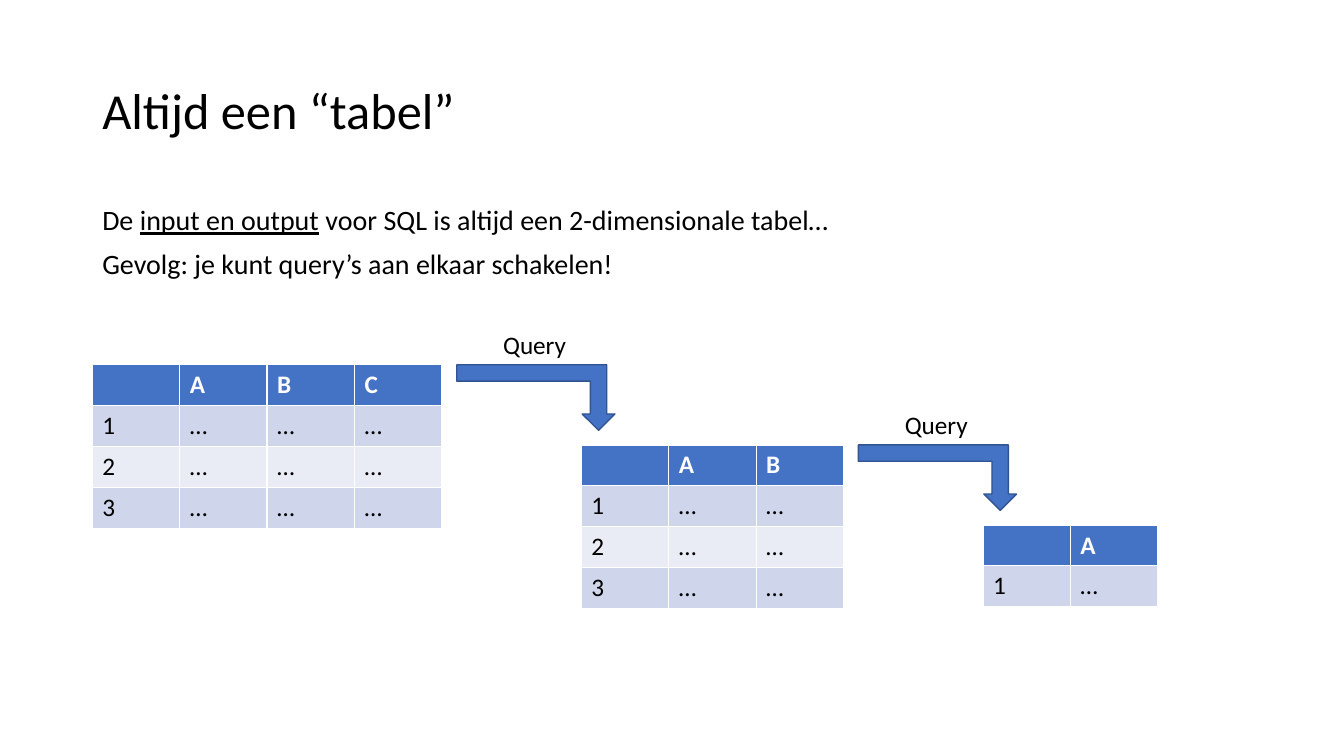
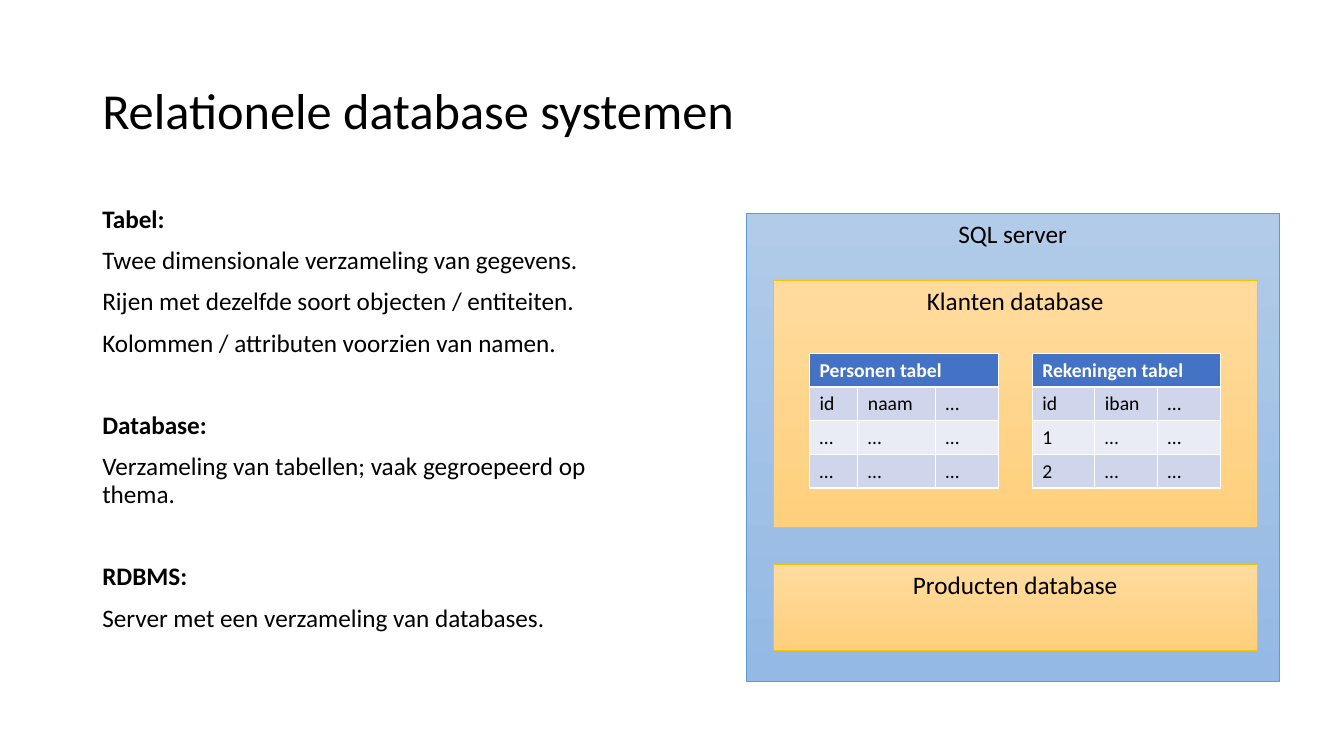
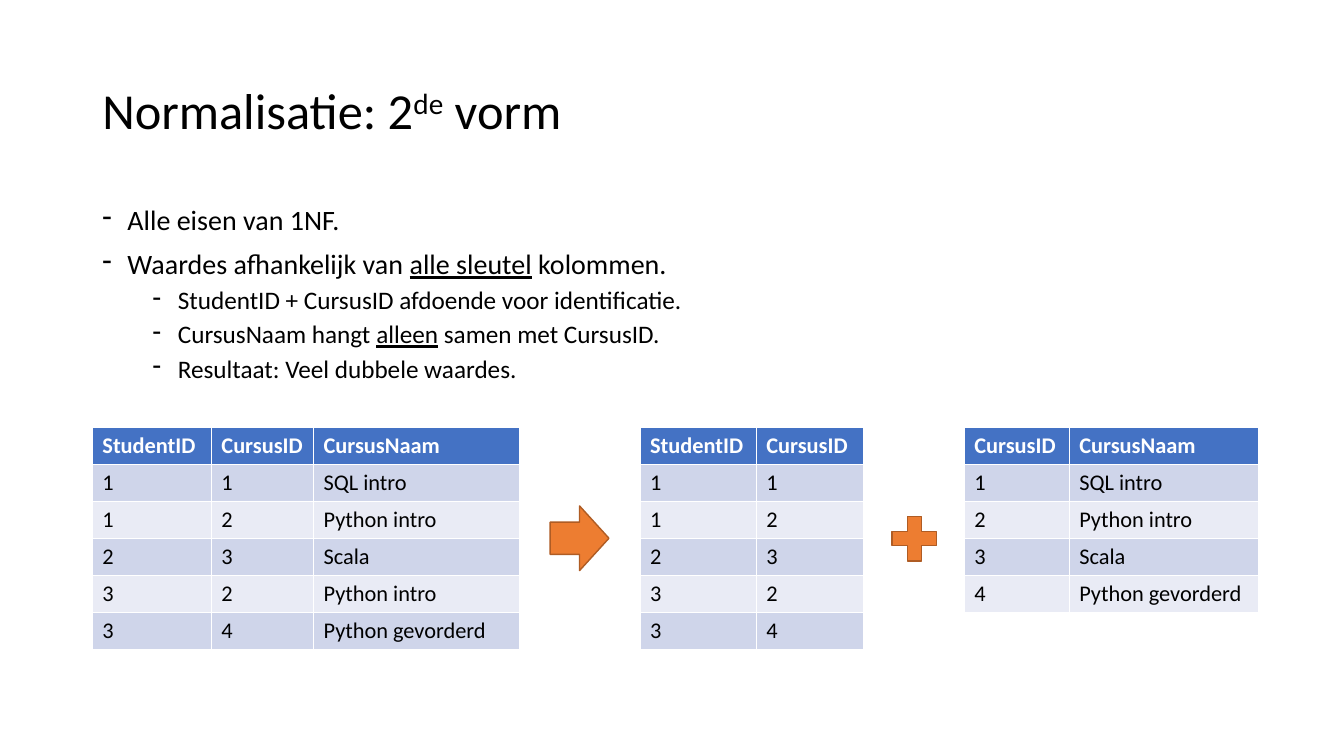
"""Builds three slides on SQL tables, relational databases and the second normal form."""
from pptx import Presentation
from pptx.dml.color import RGBColor
from pptx.enum import shapes, text
from pptx.oxml.xmlchemy import OxmlElement
from pptx.util import Pt

BLACK = RGBColor(0x00, 0x00, 0x00)
WHITE = RGBColor(0xFF, 0xFF, 0xFF)
BLUE = RGBColor(0x44, 0x72, 0xC4)
BLUE_EDGE = RGBColor(0x32, 0x54, 0x91)
ORANGE = RGBColor(0xED, 0x7D, 0x31)
ORANGE_EDGE = RGBColor(0xAF, 0x5C, 0x24)
BAND_DARK = RGBColor(0xCF, 0xD5, 0xEA)
BAND_LIGHT = RGBColor(0xE9, 0xEB, 0xF5)
SERVER_TOP = RGBColor(0xB1, 0xCB, 0xE9)
SERVER_BOTTOM = RGBColor(0x93, 0xB9, 0xE4)
SERVER_EDGE = RGBColor(0x5B, 0x9B, 0xD5)
DATABASE_TOP = RGBColor(0xFF, 0xDB, 0x9E)
DATABASE_BOTTOM = RGBColor(0xFF, 0xD0, 0x7C)
DATABASE_EDGE = RGBColor(0xFF, 0xC0, 0x00)

SHAPE = shapes.MSO_SHAPE
UNDERLINE = {"underline": True}
BOLD = {"bold": True}
LEFT = 66


def apply(target, values):
    for name, value in values.items():
        setattr(target, name, value)


class Deck:
    """Holds the shared style and the slide being filled."""

    font = "Calibri"

    def __init__(self):
        self.show = Presentation()
        apply(self.show, {"slide_width": Pt(960), "slide_height": Pt(540)})
        self.slide = None

    def new_slide(self, *title):
        self.slide = self.show.slides.add_slide(self.show.slide_layouts[6])
        self.text((LEFT, 28.8, 828, 104.4), [(title, {"line_spacing": 0.9})], 36,
                  vertical_anchor=text.MSO_ANCHOR.MIDDLE)

    def runs(self, paragraph, parts, size, color=BLACK, **font):
        for part in parts:
            words, changes = (part, {}) if isinstance(part, str) else part
            changes = dict(changes)
            baseline = changes.pop("baseline", None)
            run = paragraph.add_run()
            run.text = words
            run.font.color.rgb = color
            apply(run.font, {"name": self.font, "size": Pt(size), **font, **changes})
            if baseline:
                run.font._element.set("baseline", str(baseline))

    def text(self, place, paragraphs, size, **frame_format):
        frame = self.slide.shapes.add_textbox(*map(Pt, place)).text_frame
        apply(frame, {"word_wrap": True, **frame_format})
        for index, (parts, layout) in enumerate(paragraphs):
            paragraph = frame.paragraphs[0] if index == 0 else frame.add_paragraph()
            apply(paragraph, layout)
            self.runs(paragraph, parts, size)

        return frame

    def body(self, paragraphs, size, width=828):
        first, *others = paragraphs
        spaced = [(first, {"line_spacing": 0.9})]
        for item in others:
            parts, before = item if isinstance(item, tuple) else (item, 10)
            spaced.append((parts, {"line_spacing": 0.9, "space_before": Pt(before)}))
        return self.text((LEFT, 144, width, 342.7), spaced, size)

    def dash(self, paragraph, indent, size):
        properties = paragraph._p.get_or_add_pPr()
        properties.set("marL", str(Pt(indent)))
        properties.set("indent", str(Pt(-18)))
        bullet = OxmlElement("a:buChar")
        bullet.set("char", "-")
        properties.append(bullet)
        for run in paragraph.runs:
            run.font.size = Pt(size)

    def table(self, left, top, widths, row_height, rows, size, merge_header=False):
        grid = self.slide.shapes.add_table(
            len(rows), len(widths), Pt(left), Pt(top),
            Pt(sum(widths)), Pt(row_height * len(rows))).table
        for column, width in zip(grid.columns, widths):
            column.width = Pt(width)
        for row_index, row in enumerate(rows):
            grid.rows[row_index].height = Pt(row_height)
            header = row_index == 0
            fill = BLUE if header else (BAND_LIGHT, BAND_DARK)[row_index % 2]
            for column_index, words in enumerate(row):
                cell = grid.cell(row_index, column_index)
                cell.fill.solid()
                cell.fill.fore_color.rgb = fill
                paragraph = cell.text_frame.paragraphs[0]
                if words:
                    self.runs(paragraph, [words], size, WHITE if header else BLACK, bold=header)
                else:
                    paragraph.font.size = Pt(size)
        if merge_header:
            grid.cell(0, 0).merge(grid.cell(0, len(widths) - 1))

    def shape(self, kind, place, colors, edge, edge_width=1, label=None, flip=False):
        shape = self.slide.shapes.add_shape(kind, *map(Pt, place))
        shape.shadow.inherit = False
        if len(colors) == 1:
            shape.fill.solid()
            shape.fill.fore_color.rgb = colors[0]
        else:
            shape.fill.gradient()
            shape.fill.gradient_angle = 270
            for stop, color in zip(shape.fill.gradient_stops, colors):
                stop.color.rgb = color
        shape.line.color.rgb = edge
        shape.line.width = Pt(edge_width)
        if flip:
            shape._element.spPr.xfrm.set("flipV", "1")
        if label:
            shape.text_frame.vertical_anchor = text.MSO_ANCHOR.TOP
            paragraph = shape.text_frame.paragraphs[0]
            paragraph.alignment = text.PP_ALIGN.CENTER
            self.runs(paragraph, [label], 18)


def query_slide(deck):
    deck.new_slide("Altijd een “tabel”")
    deck.body([
        ["De ", ("input en output", UNDERLINE), " voor SQL is altijd een 2-dimensionale tabel…"],
        ["Gevolg: je kunt query’s aan elkaar schakelen!"],
    ], 20)
    column, left, top = 62.4, LEFT, 260.6
    for letters, count in (("ABC", 3), ("AB", 3), ("A", 1)):
        rows = [["", *letters]]
        rows += [[str(number), *"…" * len(letters)] for number in range(1, count + 1)]
        widths = [column] * (len(letters) + 1)
        deck.table(left, top, widths, 29.2, rows, 18)
        if letters != "A":
            arrow_left = left + sum(widths) + 10.7
            deck.shape(SHAPE.BENT_UP_ARROW, (arrow_left, top, 113, 46.8), [BLUE], BLUE_EDGE,
                       flip=True)
            deck.text((arrow_left + 26, top - 28.8, 59.8, 28.8), [(["Query"], {})], 18,
                      word_wrap=False)
            left, top = arrow_left + 89, top + 57.2


def database_slide(deck):
    deck.new_slide("Relationele database systemen")
    section_gap = 39.6
    deck.body([
        [("Tabel:", BOLD)],
        ["Twee dimensionale verzameling van gegevens."],
        ["Rijen met dezelfde soort objecten / entiteiten."],
        ["Kolommen / attributen voorzien van namen."],
        ([("Database:", BOLD)], section_gap),
        ["Verzameling van tabellen; vaak gegroepeerd op thema."],
        ([("RDBMS:", BOLD)], section_gap),
        ["Server met een verzameling van databases."],
    ], 18, width=414)
    deck.shape(SHAPE.RECTANGLE, (532.8, 152.6, 381, 334), [SERVER_TOP, SERVER_BOTTOM],
               SERVER_EDGE, 0.5, "SQL server")
    for label, top, height in (("Klanten database", 200.2, 176.4),
                               ("Producten database", 403.2, 61.5)):
        deck.shape(SHAPE.RECTANGLE, (552.4, top, 345.6, height), [DATABASE_TOP, DATABASE_BOTTOM],
                   DATABASE_EDGE, 0.5, label)
    dots = ["…"] * 3
    for left, widths, rows in (
        (578.2, [34.6, 55.4, 44.8],
         [["Personen tabel", "", ""], ["id", "naam", "…"], dots, dots]),
        (737.3, [44.8] * 3,
         [["Rekeningen tabel", "", ""], ["id", "iban", "…"], ["1", "…", "…"], ["2", "…", "…"]]),
    ):
        deck.table(left, 252.4, widths, 24, rows, 14, merge_header=True)


def normalisation_slide(deck):
    deck.new_slide("Normalisatie: 2", ("de", {"baseline": 30000}), " vorm")
    frame = deck.body([
        ["Alle eisen van 1NF."],
        ["Waardes afhankelijk van ", ("alle sleutel", UNDERLINE), " kolommen."],
        (["StudentID + CursusID afdoende voor identificatie."], 5),
        (["CursusNaam hangt ", ("alleen", UNDERLINE), " samen met CursusID."], 5),
        (["Resultaat: Veel dubbele waardes."], 5),
    ], 20)
    for index, paragraph in enumerate(frame.paragraphs):
        paragraph.level = int(index > 1)
        deck.dash(paragraph, *((54, 18) if paragraph.level else (18, 20)))

    courses = {"1": "SQL intro", "2": "Python intro", "3": "Scala", "4": "Python gevorderd"}
    enrolments = [("1", "1"), ("1", "2"), ("2", "3"), ("3", "2"), ("3", "4")]
    student, course, name = "StudentID", "CursusID", "CursusNaam"
    for left, widths, rows in (
        (LEFT, [85, 73, 147.2],
         [(student, course, name)] + [(who, what, courses[what]) for who, what in enrolments]),
        (457.2, [83, 77], [(student, course)] + enrolments),
        (688.8, [75, 135.4], [(course, name)] + list(courses.items())),
    ):
        deck.table(left, 305.3, widths, 26.4, rows, 16)
    deck.shape(SHAPE.RIGHT_ARROW, (393, 361.4, 42, 46.2), [ORANGE], ORANGE_EDGE)
    deck.shape(SHAPE.MATH_PLUS, (631.6, 363.2, 43.2, 43.2), [ORANGE], ORANGE_EDGE)


def main():
    deck = Deck()
    for build in (query_slide, database_slide, normalisation_slide):
        build(deck)
    deck.show.save("out.pptx")


if __name__ == "__main__":
    main()
